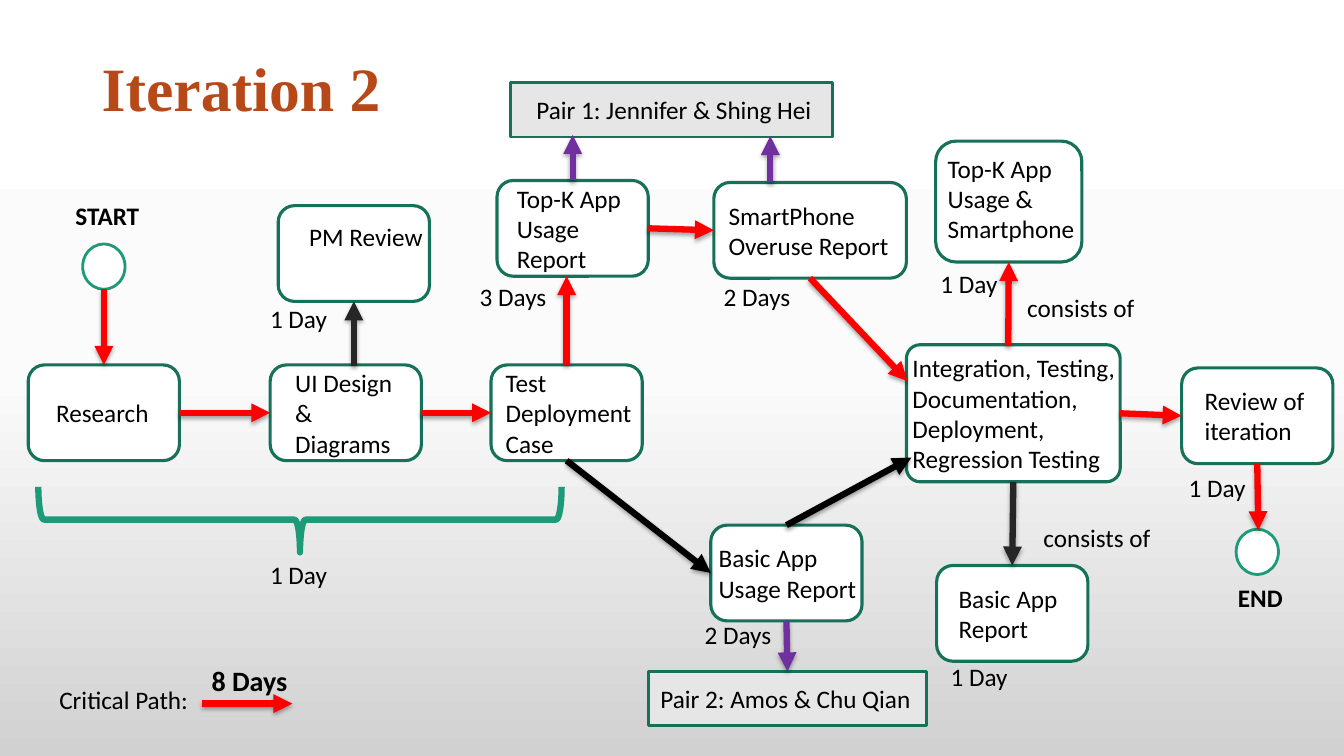
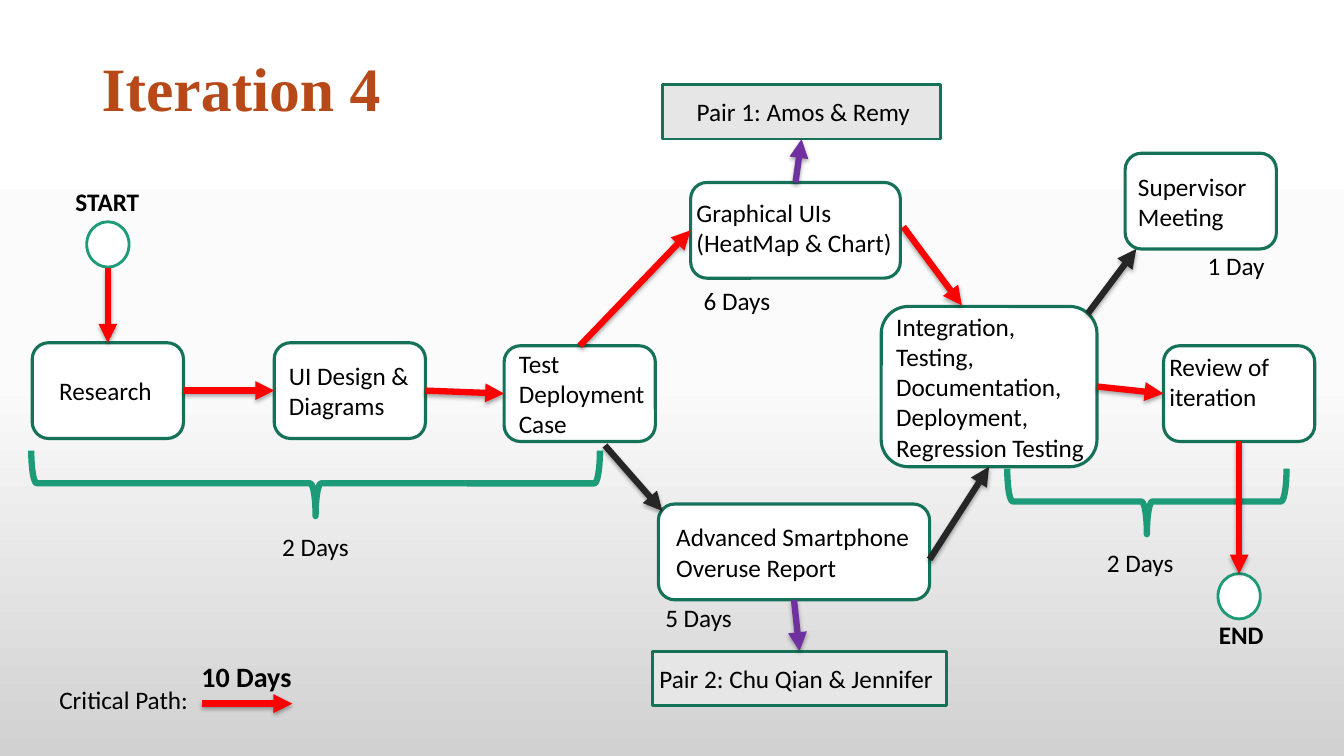
from dataclasses import dataclass
from copy import deepcopy
from lxml.etree import SubElement
from pptx import Presentation
from pptx.dml.color import RGBColor
from pptx.enum.shapes import MSO_CONNECTOR, MSO_SHAPE
from pptx.enum.text import MSO_ANCHOR, PP_ALIGN
from pptx.oxml import parse_xml
from pptx.oxml.ns import nsdecls, qn
from pptx.util import Inches, Pt


@dataclass(frozen=True)
class Theme:
    title: str = "B74919"
    text: str = "000000"
    white: str = "FFFFFF"
    band: str = "E7E6E6"
    border: str = "157259"
    accent: str = "1D9A78"
    critical: str = "FF0000"
    black: str = "000000"
    side: str = "262626"
    pair: str = "7030A0"
    background: tuple = ((0, "FFFFFF"), (0.5, "FBFBFB"), (1, "D1D1D1"))
    title_font: str = "Times New Roman"
    body_font: str = "Calibri"
    title_size: int = 44
    total_size: int = 20
    body_size: int = 18
    node_line: float = 2.25
    thin_line: float = 2
    thick_line: float = 4.5


@dataclass(frozen=True)
class Joint:
    shape: object
    side: int


T = Theme()
TOP, LEFT, BOTTOM, RIGHT = range(4)


def rgb(value):
    return RGBColor.from_string(value)


def set_background(master):
    fill = master.background.fill
    fill.gradient()
    fill.gradient_angle = 270
    stops = fill.gradient_stops
    last = stops[1]._gs
    last.addprevious(deepcopy(last))
    for stop, (position, color) in zip(fill.gradient_stops, T.background):
        stop.position = position
        stop.color.rgb = rgb(color)


def add_run(p, text, size=T.body_size, font=T.body_font, color=T.text, bold=False):
    r = p.add_run()
    r.text = text
    r.font.size = Pt(size)
    r.font.name = font
    r.font.bold = bold
    r.font.color.rgb = rgb(color)
    return r


def add_label(s, text, x, y, w=1.5, h=0.4, **style):
    tf = s.shapes.add_textbox(*map(Inches, (x, y, w, h))).text_frame
    tf.word_wrap = True
    return tf, add_run(tf.paragraphs[0], text, **style)


def add_title(s, text):
    tf, r = add_label(s, text, 0.91, 0.18, 11.5, 1.45, size=T.title_size,
                      font=T.title_font, color=T.title, bold=True)
    tf.vertical_anchor = MSO_ANCHOR.MIDDLE
    tf.paragraphs[0].line_spacing = 0.9
    outline = parse_xml(
        f'<a:ln {nsdecls("a")} w="{Pt(0.75)}"><a:solidFill>'
        f'<a:srgbClr val="{T.white}"/></a:solidFill></a:ln>')
    r.font._element.insert(0, outline)


def add_outlined(s, kind, box, fill, line, width):
    sp = s.shapes.add_shape(kind, *map(Inches, box))
    sp.shadow.inherit = False
    if fill:
        sp.fill.solid()
        sp.fill.fore_color.rgb = rgb(fill)
    else:
        sp.fill.background()
    sp.line.color.rgb = rgb(line)
    sp.line.width = Pt(width)
    return sp


def fill_text(sp, text, indent, right=0, lift=0):
    tf = sp.text_frame
    tf.word_wrap = True
    tf.vertical_anchor = MSO_ANCHOR.MIDDLE
    tf.margin_left, tf.margin_right = Inches(indent), Inches(right)
    tf.margin_top, tf.margin_bottom = 0, Inches(2 * lift)
    p = tf.paragraphs[0]
    p.alignment = PP_ALIGN.LEFT
    add_run(p, text)


def add_node(s, text, x, y, w=1.5, h=0.95, indent=0.1, corner=0.17, **place):
    sp = add_outlined(s, MSO_SHAPE.ROUNDED_RECTANGLE, (x, y, w, h),
                      T.white, T.border, T.node_line)
    sp.adjustments[0] = corner
    fill_text(sp, text, indent, **place)
    return sp


def add_pair(s, text, x, y, w, indent):
    sp = add_outlined(s, MSO_SHAPE.RECTANGLE, (x, y, w, 0.54),
                      T.band, T.border, T.thin_line)
    fill_text(sp, text, indent)
    return sp


def add_terminal(s, text, x, y, text_x, text_y):
    add_outlined(s, MSO_SHAPE.OVAL, (x, y, 0.42, 0.45), T.white, T.accent, T.thin_line)
    add_label(s, text, text_x, text_y, 1, bold=True)


def add_brace(s, x, y, span, depth=0.65):
    box = (x + (span - depth) / 2, y - (span - depth) / 2, depth, span)
    sp = add_outlined(s, MSO_SHAPE.RIGHT_BRACE, box, None, T.accent, T.thick_line)
    sp.rotation = 90


def add_arrow(s, start, end, color=T.critical):
    points = [(0, 0) if isinstance(a, Joint) else a for a in (start, end)]
    c = s.shapes.add_connector(MSO_CONNECTOR.STRAIGHT,
                               *(Inches(v) for point in points for v in point))
    for anchor, connect in ((start, c.begin_connect), (end, c.end_connect)):
        if isinstance(anchor, Joint):
            connect(anchor.shape, anchor.side)
    c.line.color.rgb = rgb(color)
    c.line.width = Pt(T.thick_line)
    SubElement(c.line._get_or_add_ln(), qn("a:tailEnd"), type="triangle")
    c._element.spPr.append(parse_xml(
        f'<a:effectLst {nsdecls("a")}><a:outerShdw blurRad="{Pt(3.1)}" '
        f'dist="{Pt(1.8)}" dir="5400000" rotWithShape="0"><a:srgbClr val="{T.black}">'
        '<a:alpha val="35000"/></a:srgbClr></a:outerShdw></a:effectLst>'))


def add_arrows(s, arrows):
    for arrow in arrows:
        add_arrow(s, *arrow)


def add_labels(s, labels):
    for label in labels:
        add_label(s, *label)


def start_slide(prs, title, total, total_x, total_y):
    s = prs.slides.add_slide(prs.slide_layouts[6])
    add_title(s, title)
    add_label(s, "Critical Path:", 0.49, 6.74)
    add_arrow(s, (2, 6.98), (2.9, 6.98))
    add_label(s, total, total_x, total_y, 1.2, size=T.total_size, bold=True)
    return s


def build_iteration_2(prs):
    s = start_slide(prs, "Iteration 2", "8 Days", 2, 6.53)
    pair_1 = (5.06, 0.82, 3.2)
    add_pair(s, "Pair 1: Jennifer & Shing Hei", *pair_1, 0.26)
    pair_2 = add_pair(s, "Pair 2: Amos & Chu Qian", 6.43, 6.66, 2.76, 0.12)
    research = add_node(s, "Research", 0.28, 3.62, indent=0.23)
    design = add_node(s, "UI Design & Diagrams", 2.68, 3.62, indent=0.2, right=0.1)
    test = add_node(s, "Test Deployment Case", 4.87, 3.62)
    review_pm = add_node(s, "PM Review", 2.76, 2.04, indent=0.26, lift=0.17)
    top_k = add_node(s, "Top-K App Usage Report", 4.93, 1.79, indent=0.15)
    overuse = add_node(s, "SmartPhone Overuse Report", 7.08, 1.81, 1.91)
    basic = add_node(s, "Basic App Usage Report", 7.05, 5.21, indent=0.03)
    integration = add_node(
        s, "Integration, Testing, Documentation, Deployment, Regression Testing",
        8.99, 3.42, 2.12, 1.36, 0.02, 0.1)
    top_k_parts = add_node(s, "Top-K App Usage & Smartphone", 9.28, 1.4, 1.45, 1.2,
                           0.06, lift=0.03)
    basic_part = add_node(s, "Basic App Report", 9.29, 5.61, indent=0.17)
    review = add_node(s, "Review of iteration", 11.72, 3.65, indent=0.18)
    add_terminal(s, "START", 0.82, 2.42, 0.65, 1.94)
    add_terminal(s, "END", 12.26, 5.25, 12.18, 5.73)
    add_brace(s, 0.38, 4.83, 5.19)
    add_arrows(s, [
        ((1.03, 2.87), Joint(research, TOP)),
        (Joint(research, RIGHT), Joint(design, LEFT)),
        (Joint(design, RIGHT), Joint(test, LEFT)),
        (Joint(test, TOP), (5.62, 2.74)),
        (Joint(top_k, RIGHT), Joint(overuse, LEFT)),
        (Joint(overuse, BOTTOM), (9, 3.78)),
        ((10, 3.43), Joint(top_k_parts, BOTTOM)),
        (Joint(integration, RIGHT), Joint(review, LEFT)),
        (Joint(review, BOTTOM), (12.48, 5.26)),
        (Joint(test, BOTTOM), Joint(basic, LEFT), T.black),
        (Joint(basic, TOP), (9.04, 4.54), T.black),
        ((3.51, 3.63), Joint(review_pm, BOTTOM), T.side),
        (Joint(integration, BOTTOM), Joint(basic_part, TOP), T.side),
        (Joint(top_k, TOP), (5.68, 1.34), T.pair),
        ((7.64, 1.81), (7.64, 1.35), T.pair),
        (Joint(basic, BOTTOM), Joint(pair_2, TOP), T.pair),
    ])
    add_labels(s, [
        ("1 Day", 2.58, 5.5), ("1 Day", 2.58, 2.96), ("3 Days", 4.66, 2.74),
        ("2 Days", 7.08, 2.74), ("2 Days", 6.89, 6.09), ("1 Day", 11.69, 4.64),
        ("1 Day", 9.23, 2.61), ("1 Day", 9.33, 6.51),
        ("consists of", 10.09, 2.85), ("consists of", 10.25, 5.13),
    ])


def build_iteration_4(prs):
    s = start_slide(prs, "Iteration 4", "10 Days", 1.9, 6.49)
    pair_1 = add_pair(s, "Pair 1: Amos & Remy", 6.57, 0.84, 2.76, 0.34)
    pair_2 = add_pair(s, "Pair 2: Chu Qian & Jennifer", 6.47, 6.46, 2.92, 0.07)
    research = add_node(s, "Research", 0.32, 3.4, indent=0.22)
    design = add_node(s, "UI Design & Diagrams", 2.72, 3.4)
    test = add_node(s, "Test Deployment Case", 5, 3.43)
    graphical = add_node(s, "Graphical UIs (HeatMap & Chart)", 6.85, 1.81, 2.08,
                         indent=0.01, lift=0.03)
    advanced = add_node(s, "Advanced Smartphone Overuse Report", 6.53, 5, 2.69,
                        indent=0.13)
    integration = add_node(
        s, "Integration, Testing, Documentation, Deployment, Regression Testing",
        8.74, 3.04, 2.14, 1.59, 0.07)
    add_node(s, "Supervisor Meeting", 11.16, 1.52, indent=0.08)
    review = add_node(s, "Review of iteration", 11.54, 3.43, indent=0.01, lift=0.12)
    add_terminal(s, "START", 0.86, 2.2, 0.65, 1.8)
    add_terminal(s, "END", 12.08, 5.69, 11.99, 6.09)
    add_brace(s, 0.31, 4.47, 5.64)
    add_brace(s, 9.99, 4.65, 2.77)
    add_arrows(s, [
        ((1.07, 2.66), Joint(research, TOP)),
        (Joint(research, RIGHT), Joint(design, LEFT)),
        (Joint(design, RIGHT), Joint(test, LEFT)),
        (Joint(test, TOP), Joint(graphical, LEFT)),
        ((8.96, 2.25), (9.54, 3.03)),
        (Joint(integration, RIGHT), Joint(review, LEFT)),
        (Joint(review, BOTTOM), (12.29, 5.69)),
        ((10.79, 3.11), (11.27, 2.47), T.side),
        ((6, 4.42), (6.57, 5.07), T.side),
        ((9.22, 5.55), Joint(integration, BOTTOM), T.side),
        (Joint(graphical, TOP), Joint(pair_1, BOTTOM), T.pair),
        (Joint(advanced, BOTTOM), Joint(pair_2, TOP), T.pair),
    ])
    add_labels(s, [
        ("1 Day", 11.88, 2.43), ("6 Days", 6.88, 2.78), ("5 Days", 6.5, 5.93),
        ("2 Days", 10.88, 5.38), ("2 Days", 2.7, 5.22),
    ])


def main():
    prs = Presentation()
    prs.slide_width, prs.slide_height = Inches(13.33), Inches(7.5)
    set_background(prs.slide_master)
    build_iteration_2(prs)
    build_iteration_4(prs)
    prs.save("out.pptx")


if __name__ == "__main__":
    main()
